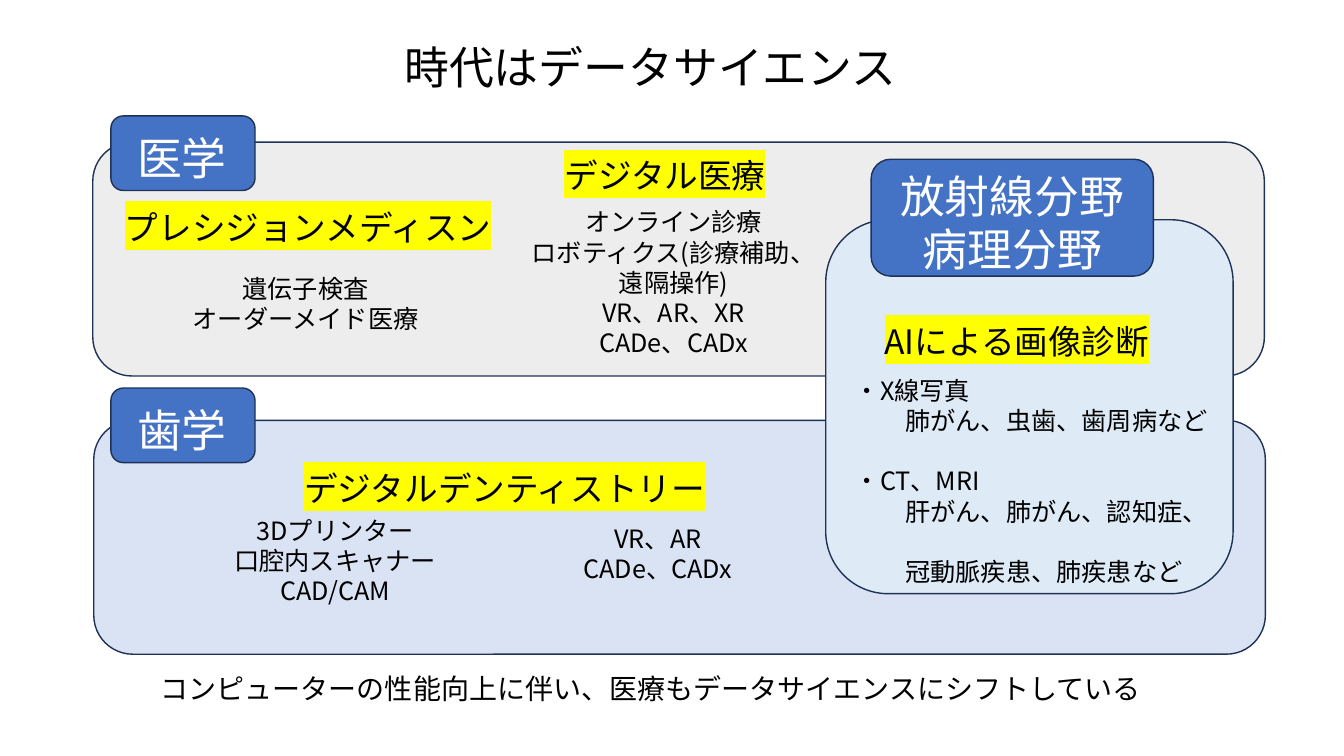
"""Build the slide on data science in medicine and dentistry."""
from dataclasses import dataclass

from lxml.etree import SubElement
from pptx import Presentation
from pptx.dml.color import RGBColor
from pptx.enum.shapes import MSO_SHAPE
from pptx.enum.text import MSO_AUTO_SIZE, PP_ALIGN
from pptx.oxml.ns import qn
from pptx.slide import Slide
from pptx.util import Inches, Pt

FACE = "Noto Sans CJK JP"
BLACK, WHITE, YELLOW = "000000", "FFFFFF", "FFFF00"
EDGE, BLUE = "1E3256", "4472C4"


@dataclass
class Panel:
    left: float
    top: float
    width: float
    height: float
    fill: str = BLUE


@dataclass
class Line:
    text: str
    indent: float = 0
    before: float = 0


@dataclass
class Label:
    left: float
    top: float
    width: float
    height: float
    lines: list[str | Line]
    size: int = 18
    ink: str = BLACK
    mark: str = ""
    align: PP_ALIGN = PP_ALIGN.CENTER


PANELS = [
    Panel(0.93, 4.17, 11.62, 2.32, "DAE3F3"),
    Panel(0.92, 1.41, 11.62, 2.32, "EDEDED"),
    Panel(8.19, 2.18, 4.04, 3.71, "DEEBF7"),
    Panel(1.1, 1.15, 1.43, 0.74),
    Panel(1.1, 3.85, 1.43, 0.74),
    Panel(8.64, 1.58, 2.8, 1.16),
]

LABELS = [
    Label(2.53, 0.34, 7.84, 0.64, ["時代はデータサイエンス"], 32),
    Label(1.25, 1.25, 1.11, 0.64, ["医学"], 32, WHITE),
    Label(1.25, 3.95, 1.11, 0.64, ["歯学"], 32, WHITE),
    Label(8.64, 1.62, 2.8, 1.18, ["放射線分野", "病理分野"], 32, WHITE),
    Label(1.1, 2, 3.91, 0.5, ["プレシジョンメディスン"], 24, mark=YELLOW),
    Label(4.64, 1.49, 3.91, 0.5, ["デジタル医療"], 24, mark=YELLOW),
    Label(8.22, 3.13, 3.73, 0.5, ["AIによる画像診断"], 24, mark=YELLOW),
    Label(2.14, 4.59, 5.73, 0.5, ["デジタルデンティストリー"], 24, mark=YELLOW),
    Label(1.42, 2.66, 3.22, 0.71, ["遺伝子検査", "オーダーメイド医療"]),
    Label(5.07, 2, 3.22, 1.62, [
        "オンライン診療", "ロボティクス(診療補助、遠隔操作)", "VR、AR、XR", "CADe、CADx"]),
    Label(1.81, 5.06, 3.03, 1.01, ["3Dプリンター", "口腔内スキャナー", "CAD/CAM"]),
    Label(5.01, 5.14, 3.03, 0.71, ["VR、AR", "CADe、CADx"]),
    Label(8.38, 3.67, 3.73, 1.92, [
        Line("・X線写真"),
        Line("肺がん、虫歯、歯周病など", 0.5),
        Line("・CT、MRI", before=21.6),
        Line("肝がん、肺がん、認知症、", 0.5),
        Line("冠動脈疾患、肺疾患など", 0.5, 21.6),
    ], align=PP_ALIGN.LEFT),
    Label(1.01, 6.61, 10.89, 0.44,
          ["コンピューターの性能向上に伴い、医療もデータサイエンスにシフトしている"], 20),
]


def color(code: str) -> RGBColor:
    return RGBColor.from_string(code)


def place(item: Panel | Label) -> list[int]:
    return [Inches(n) for n in (item.left, item.top, item.width, item.height)]


def draw_panel(slide: Slide, panel: Panel) -> None:
    shape = slide.shapes.add_shape(MSO_SHAPE.ROUNDED_RECTANGLE, *place(panel))
    shape.shadow.inherit = False
    shape.fill.solid()
    shape.fill.fore_color.rgb = color(panel.fill)
    shape.line.color.rgb = color(EDGE)
    shape.line.width = Pt(1)


def draw_label(slide: Slide, label: Label) -> None:
    frame = slide.shapes.add_textbox(*place(label)).text_frame
    frame.word_wrap = True
    frame.auto_size = MSO_AUTO_SIZE.SHAPE_TO_FIT_TEXT
    for index, line in enumerate(label.lines):
        line = Line(line) if isinstance(line, str) else line
        para = frame.add_paragraph() if index else frame.paragraphs[0]
        para.alignment = label.align
        if line.before:
            para.space_before = Pt(line.before)
        if line.indent:
            para._p.get_or_add_pPr().set("marL", str(Inches(line.indent)))
        run = para.add_run()
        run.text = line.text
        font = run.font
        font.color.rgb = color(label.ink)
        props = run._r.get_or_add_rPr()
        if label.mark:
            mark = SubElement(props, qn("a:highlight"))
            SubElement(mark, qn("a:srgbClr"), val=label.mark)
        for name, value in {"size": Pt(label.size), "name": FACE}.items():
            setattr(font, name, value)
        SubElement(props, qn("a:ea"), typeface=FACE)


def main() -> None:
    deck = Presentation()
    deck.slide_width, deck.slide_height = Inches(13.33), Inches(7.5)
    slide = deck.slides.add_slide(deck.slide_layouts[6])
    for panel in PANELS:
        draw_panel(slide, panel)
    for label in LABELS:
        draw_label(slide, label)
    deck.save("out.pptx")


if __name__ == "__main__":
    main()
